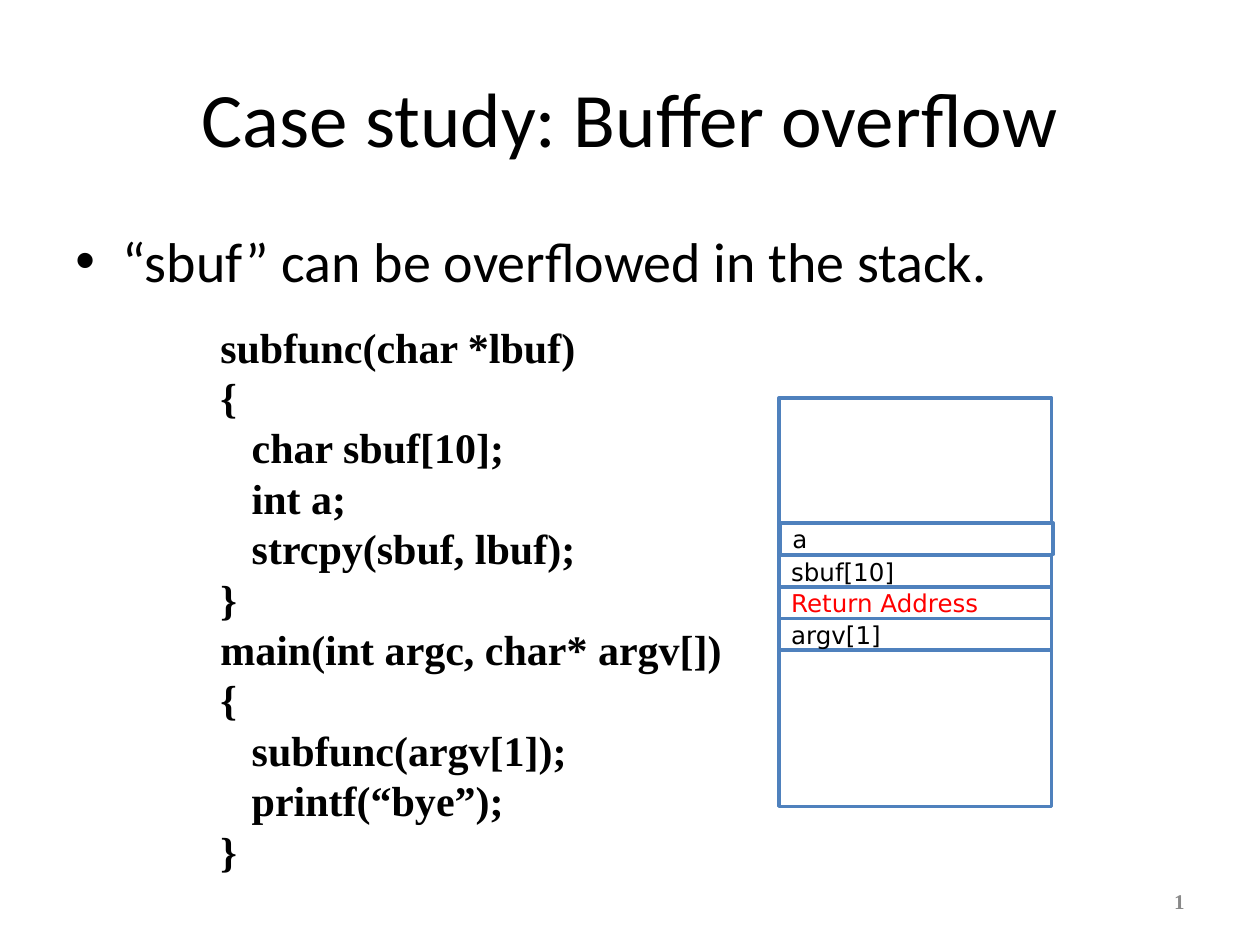
"""Build the buffer overflow case study slide: C code beside its stack layout."""
from lxml import etree
from pptx import Presentation
from pptx.dml.color import RGBColor
from pptx.enum.shapes import MSO_CONNECTOR, MSO_SHAPE
from pptx.enum.text import MSO_ANCHOR, MSO_AUTO_SIZE, PP_ALIGN
from pptx.oxml.ns import qn
from pptx.util import Pt

RECTANGLE = MSO_SHAPE.RECTANGLE
STRAIGHT = MSO_CONNECTOR.STRAIGHT
MIDDLE = MSO_ANCHOR.MIDDLE
LEFT, CENTER, RIGHT = PP_ALIGN.LEFT, PP_ALIGN.CENTER, PP_ALIGN.RIGHT

BLACK = RGBColor(0x00, 0x00, 0x00)
WHITE = RGBColor(0xFF, 0xFF, 0xFF)
RED = RGBColor(0xFF, 0x00, 0x00)
GRAY = RGBColor(0x89, 0x89, 0x89)
BLUE = RGBColor(0x4F, 0x81, 0xBD)


def add_run(paragraph, text, font_name, size, color=BLACK, bold=False):
    run = paragraph.add_run()
    run.text = text
    run.font.name = font_name
    run.font.size = Pt(size)
    run.font.color.rgb = color
    run.font.bold = bold


def add_frame(left, top, height):
    frame = slide.shapes.add_shape(RECTANGLE, Pt(left), Pt(top), Pt(STACK_WIDTH), Pt(height))
    frame.shadow.inherit = False
    frame.fill.solid()
    frame.fill.fore_color.rgb = WHITE
    frame.line.color.rgb = BLUE
    frame.line.width = Pt(2)
    return frame


prs = Presentation()
prs.slide_width, prs.slide_height = Pt(720), Pt(540)
slide = prs.slides.add_slide(prs.slide_layouts[5])

title = slide.shapes.title
title.left, title.top, title.width, title.height = Pt(36), Pt(21.6), Pt(648), Pt(90)
title.text_frame.vertical_anchor = MIDDLE
heading = title.text_frame.paragraphs[0]
heading.alignment = CENTER
add_run(heading, "Case study: Buffer overflow", "Calibri", 44)

body = slide.shapes.add_textbox(Pt(36), Pt(126), Pt(648), Pt(356.4)).text_frame
body.word_wrap = True
claim = body.paragraphs[0]
claim_properties = claim._p.get_or_add_pPr()
claim_properties.set("marL", str(Pt(27)))
claim_properties.set("indent", str(Pt(-27)))
etree.SubElement(claim_properties, qn("a:buFont"), typeface="Arial")
etree.SubElement(claim_properties, qn("a:buChar"), char="•")
add_run(claim, "“sbuf” can be overflowed in the stack.", "Calibri", 32)

page = slide.shapes.add_textbox(Pt(516), Pt(500.4), Pt(168), Pt(28.8)).text_frame
page.word_wrap = True
page.vertical_anchor = MIDDLE
page.paragraphs[0].alignment = RIGHT
add_run(page.paragraphs[0], "1", "Times New Roman", 12, GRAY, bold=True)

CODE = """subfunc(char *lbuf)
{
   char sbuf[10];
   int a;
   strcpy(sbuf, lbuf);
}
main(int argc, char* argv[])
{
   subfunc(argv[1]);
   printf(“bye”);
}"""
code = slide.shapes.add_textbox(Pt(118.8), Pt(180), Pt(360), Pt(324)).text_frame
code.word_wrap = True
code.auto_size = MSO_AUTO_SIZE.SHAPE_TO_FIT_TEXT
for number, code_line in enumerate(CODE.splitlines()):
    paragraph = code.add_paragraph() if number else code.paragraphs[0]
    paragraph.line_spacing = Pt(28.8)
    add_run(paragraph, code_line, "Times New Roman", 24, bold=True)

STACK_LEFT, STACK_WIDTH = 445, 156
SLOT_TOP, SLOT_HEIGHT = 317.5, 18
add_frame(STACK_LEFT, 227.5, 233.3)

divider = slide.shapes.add_connector(
    STRAIGHT, Pt(STACK_LEFT), Pt(SLOT_TOP), Pt(STACK_LEFT + STACK_WIDTH), Pt(SLOT_TOP))
divider.line.color.rgb = BLUE
divider.line.width = Pt(2)
etree.SubElement(divider._element.spPr, qn("a:effectLst"))

SLOTS = [
    ("sbuf[10]", STACK_LEFT, SLOT_TOP, BLACK),
    ("Return Address", STACK_LEFT, SLOT_TOP + SLOT_HEIGHT, RED),
    ("argv[1]", STACK_LEFT, SLOT_TOP + 2 * SLOT_HEIGHT, BLACK),
    ("a", STACK_LEFT + 0.7, 298.8, BLACK),
]
for label, left, top, color in SLOTS:
    slot = add_frame(left, top, SLOT_HEIGHT).text_frame
    slot.word_wrap = True
    slot.vertical_anchor = MIDDLE
    slot.paragraphs[0].alignment = LEFT
    add_run(slot.paragraphs[0], label, "DejaVu Sans", 14, color)

prs.save("out.pptx")
